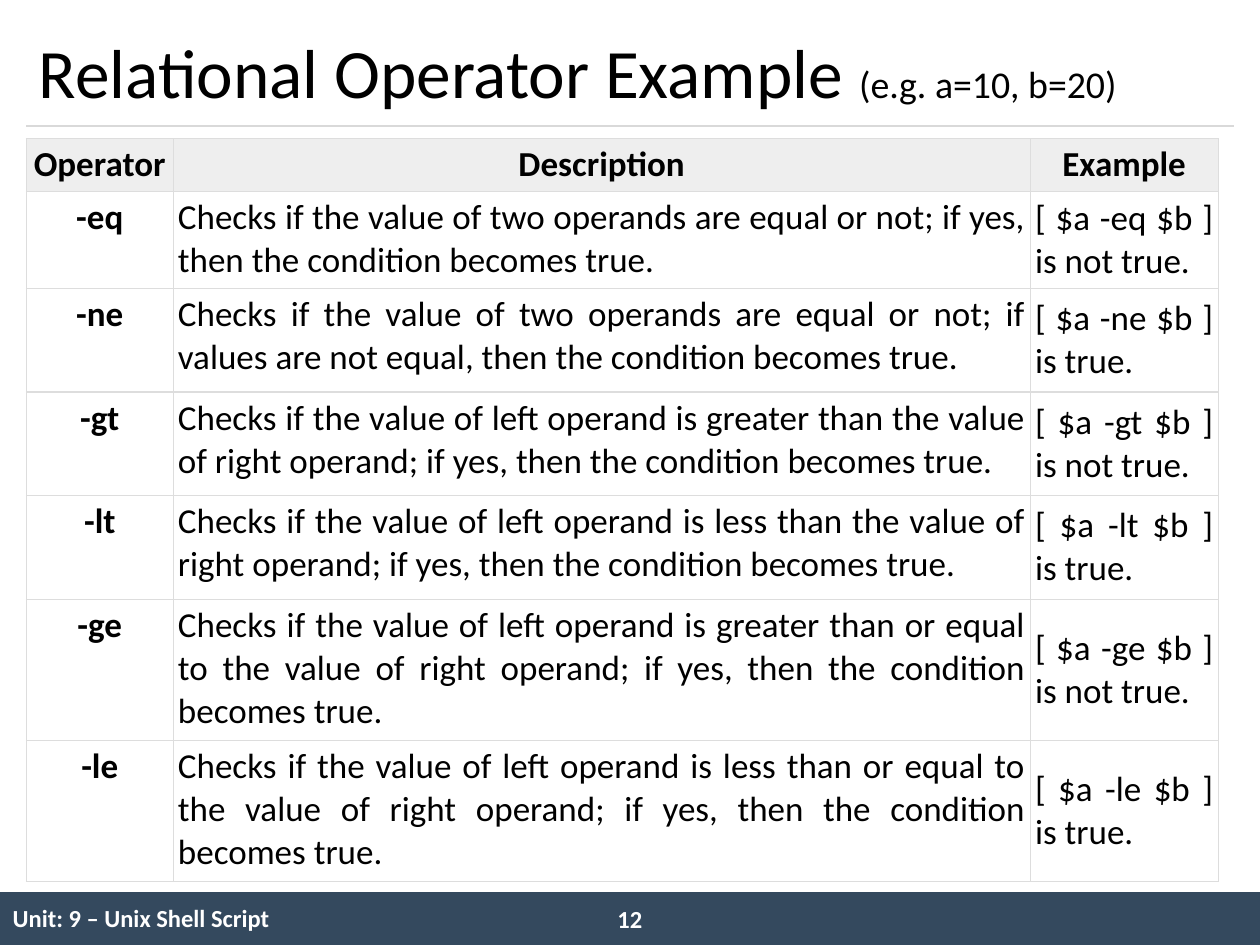
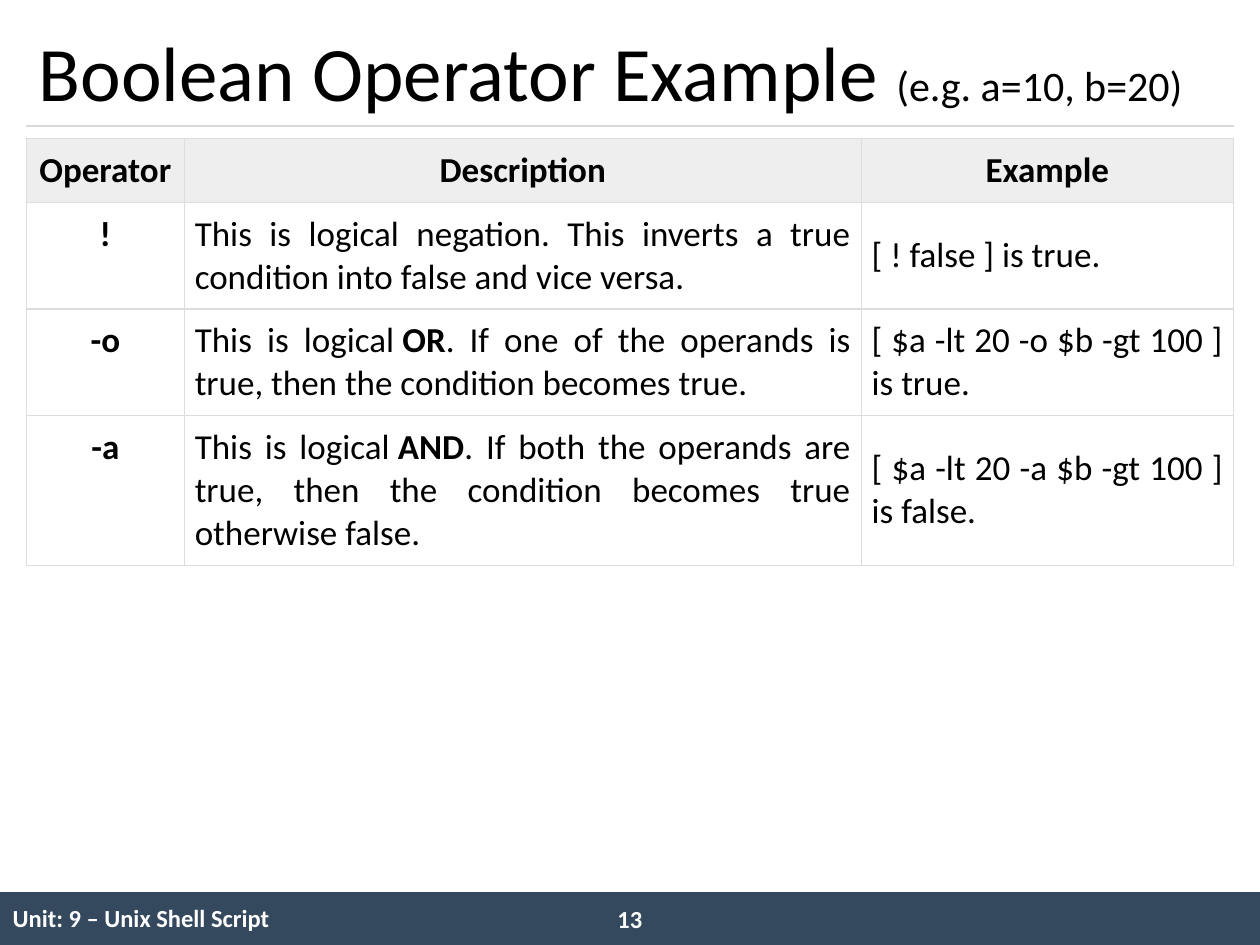
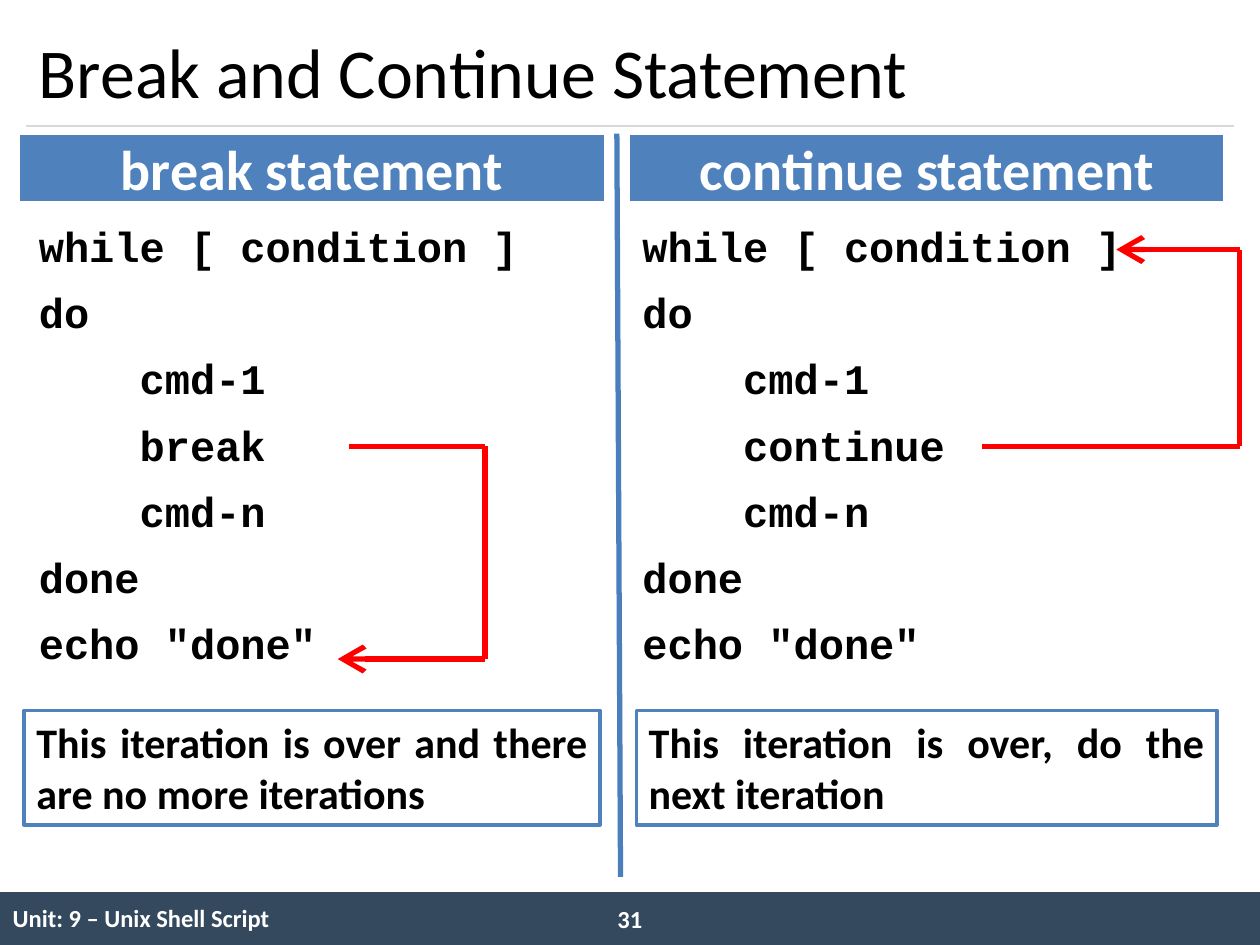
from lxml import etree
from pptx import Presentation
from pptx.dml.color import RGBColor
from pptx.enum.shapes import MSO_CONNECTOR, MSO_SHAPE
from pptx.enum.text import MSO_ANCHOR, PP_ALIGN
from pptx.oxml.ns import qn
from pptx.util import Pt

BLACK = RGBColor(0x00, 0x00, 0x00)
WHITE = RGBColor(0xFF, 0xFF, 0xFF)
NAVY = RGBColor(0x34, 0x49, 0x5E)
BLUE = RGBColor(0x4F, 0x81, 0xBD)
DIVIDER_BLUE = RGBColor(0x4B, 0x7E, 0xBC)
RED = RGBColor(0xFF, 0x00, 0x00)
RULE_GRAY = RGBColor(0xD9, 0xD9, 0xD9)
BORDER_GRAY = RGBColor(0xDD, 0xDD, 0xDD)
HEADER_GRAY = RGBColor(0xEE, 0xEE, 0xEE)

LEFT, CENTER, JUSTIFY = PP_ALIGN.LEFT, PP_ALIGN.CENTER, PP_ALIGN.JUSTIFY
TOP, MIDDLE = MSO_ANCHOR.TOP, MSO_ANCHOR.MIDDLE
RECTANGLE = MSO_SHAPE.RECTANGLE
STRAIGHT = MSO_CONNECTOR.STRAIGHT

BODY_FONT = "Calibri"
CODE_FONT = "Courier New"
NO_GRID_STYLE = "{2D5ABB26-0587-4C30-8999-92F81FD0307C}"
NO_BREAK_SPACE = chr(160)
MARGIN = 15.12
CONTENT_WIDTH = 689.76
TABLE_TOP = 79.2
FOOTER_TOP = 509.76


def add_box(slide, frame, text, size, color=BLACK, fill=None, line=None,
            align=LEFT, anchor=MIDDLE, font=BODY_FONT, bold=True):
    """Add a rectangle, or a plain text box when it has neither fill nor line."""
    lengths = [Pt(value) for value in frame]
    if fill or line:
        shape = slide.shapes.add_shape(RECTANGLE, *lengths)
        shape.shadow.inherit = False
        if fill:
            shape.fill.solid()
            shape.fill.fore_color.rgb = fill
        else:
            shape.fill.background()
        if line:
            shape.line.color.rgb = line
            shape.line.width = Pt(2)
        else:
            shape.line.fill.background()
    else:
        shape = slide.shapes.add_textbox(*lengths)
    text_frame = shape.text_frame
    text_frame.word_wrap = True
    text_frame.vertical_anchor = anchor
    text_frame.text = text
    for paragraph in text_frame.paragraphs:
        paragraph.alignment = align
        for run in paragraph.runs:
            run.font.name = font
            run.font.size = Pt(size)
            run.font.bold = bold
            run.font.color.rgb = color
    return shape


def add_line(slide, start, end, color, width, arrow=False):
    connector = slide.shapes.add_connector(
        STRAIGHT, *[Pt(value) for value in (*start, *end)])
    connector.line.color.rgb = color
    connector.line.width = Pt(width)
    if arrow:
        etree.SubElement(connector.line._get_or_add_ln(), qn("a:tailEnd"),
                         type="arrow", w="lg", len="lg")
    etree.SubElement(connector._element.spPr, qn("a:effectLst"))


presentation = Presentation()
presentation.slide_width = Pt(720)
presentation.slide_height = Pt(540)

# Title, rule and footer of every slide
headings = [
    ("Relational Operator Example ", 39.6, "(e.g. a=10, b=20)", 21.6, 12),
    ("Boolean Operator Example ", 44, "(e.g. a=10, b=20)", 24, 13),
    ("Break and Continue Statement", 40, "", 24, 31),
]
slides = []
for title, title_size, values, values_size, number in headings:
    slide = presentation.slides.add_slide(presentation.slide_layouts[6])
    add_box(slide, (0, FOOTER_TOP, 720, 30.24), "", 14, fill=NAVY)
    footer = slide.shapes.add_table(1, 3, Pt(0), Pt(FOOTER_TOP), Pt(720), Pt(30.6)).table
    footer.first_row = False
    footer.horz_banding = False
    footer._tbl.tblPr.find(qn("a:tableStyleId")).text = NO_GRID_STYLE
    for column, width in zip(footer.columns, (365.76, 48.24, 306)):
        column.width = Pt(width)
    for cell in footer.rows[0].cells:
        cell.fill.background()
    unit_cell = footer.cell(0, 0)
    unit_cell.vertical_anchor = MIDDLE
    unit_cell.text_frame.text = "Unit: 9 – Unix Shell Script"
    unit_font = unit_cell.text_frame.paragraphs[0].runs[0].font
    unit_font.name = BODY_FONT
    unit_font.size = Pt(14)
    unit_font.bold = True
    unit_font.color.rgb = WHITE
    add_box(slide, (339, 512.64, 42, 24.48), str(number), 14, WHITE, align=CENTER)
    add_line(slide, (MARGIN, 72), (MARGIN + CONTENT_WIDTH, 72), RULE_GRAY, 0.75)
    title_box = add_box(slide, (MARGIN, 8.64, CONTENT_WIDTH, 63.36), title, title_size, bold=False)
    if values:
        run = title_box.text_frame.paragraphs[0].add_run()
        run.text = values
        run.font.name = BODY_FONT
        run.font.size = Pt(values_size)
        run.font.color.rgb = BLACK
    slides.append(slide)
relational_slide, boolean_slide, loop_slide = slides

# Operator tables; text between bars is bold
header = ("Operator", "Description", "Example")
relational_rows = [
    header,
    ("-eq", "Checks if the value of two operands are equal or not; if yes, "
            "then the condition becomes true.", "[ $a -eq $b ] is not true."),
    ("-ne", "Checks if the value of two operands are equal or not; if values are not equal, "
            "then the condition becomes true.", "[ $a -ne $b ] is true."),
    ("-gt", "Checks if the value of left operand is greater than the value of right operand; "
            "if yes, then the condition becomes true.", "[ $a -gt $b ] is not true."),
    ("-lt", "Checks if the value of left operand is less than the value of right operand; "
            "if yes, then the condition becomes true.", "[ $a -lt $b ] is true."),
    ("-ge", "Checks if the value of left operand is greater than or equal to the value of "
            "right operand; if yes, then the condition becomes true.",
     "[ $a -ge $b ] is not true."),
    ("-le", "Checks if the value of left operand is less than or equal to the value of "
            "right operand; if yes, then the condition becomes true.",
     "[ $a -le $b ] is true."),
]
boolean_rows = [
    header,
    ("!", "This is logical negation. This inverts a true condition into false and vice versa.",
     "[ ! false ] is true."),
    ("-o", f"This is logical{NO_BREAK_SPACE}|OR|. If one of the operands is true, "
           "then the condition becomes true.", "[ $a -lt 20 -o $b -gt 100 ] is true."),
    ("-a", f"This is logical{NO_BREAK_SPACE}|AND|. If both the operands are true, "
           "then the condition becomes true otherwise false.",
     "[ $a -lt 20 -a $b -gt 100 ] is false."),
]
tables = [
    (relational_slide, relational_rows, (83.8, 489.8, 107.4),
     (30.2, 55.4, 59.2, 59.2, 59.2, 80.6, 80.6), 2.8),
    (boolean_slide, boolean_rows, (90.2, 386.8, 212.76), (36.5, 60.9, 60.9, 85.6), 6),
]
for slide, rows, widths, heights, inset in tables:
    table = slide.shapes.add_table(
        len(rows), len(widths), Pt(MARGIN), Pt(TABLE_TOP), Pt(sum(widths)), Pt(sum(heights))).table
    table.first_row = False
    table.horz_banding = False
    for column, width in zip(table.columns, widths):
        column.width = Pt(width)
    for row, height in zip(table.rows, heights):
        row.height = Pt(height)
    for row_index, texts in enumerate(rows):
        for column_index, text in enumerate(texts):
            cell = table.cell(row_index, column_index)
            is_label = row_index == 0 or column_index == 0
            cell.margin_left = cell.margin_right = Pt(inset)
            cell.margin_top = cell.margin_bottom = Pt(inset)
            cell.vertical_anchor = MIDDLE if column_index == 2 and row_index > 0 else TOP
            for side in ("a:lnL", "a:lnR", "a:lnT", "a:lnB"):
                border = etree.SubElement(
                    cell._tc.get_or_add_tcPr(), qn(side), w=str(Pt(0.75)))
                border_fill = etree.SubElement(border, qn("a:solidFill"))
                etree.SubElement(border_fill, qn("a:srgbClr"), val=str(BORDER_GRAY))
            cell.fill.solid()
            cell.fill.fore_color.rgb = HEADER_GRAY if row_index == 0 else WHITE
            paragraph = cell.text_frame.paragraphs[0]
            paragraph.alignment = CENTER if is_label else JUSTIFY
            for part_index, part in enumerate(text.split("|")):
                run = paragraph.add_run()
                run.text = part
                run.font.name = BODY_FONT
                run.font.size = Pt(20)
                run.font.bold = is_label or part_index % 2 == 1
                run.font.color.rgb = BLACK

# Break and continue, side by side
add_line(loop_slide, (352.5, 76.32), (354.6, 501.12), DIVIDER_BLUE, 3)
statements = [
    ("break", (10.5, 335.8), 15.12, (13.68, 329.2),
     "This iteration is over and there are no more iterations",
     [(199.4, 255.1), (277.2, 255.1), (277.2, 376.6), (193, 376.6)]),
    ("continue", (359.3, 340.6), 360, (363.6, 331.8),
     "This iteration is over, do the next iteration",
     [(560.9, 255.1), (708.5, 255.1), (708.5, 142.6), (637.9, 142.6)]),
]
for keyword, (band_left, band_width), code_left, (note_left, note_width), note, path in statements:
    add_box(loop_slide, (band_left, 76.32, band_width, 39.6), f"{keyword} statement", 32,
            WHITE, fill=BLUE, line=WHITE, align=CENTER)
    code = "\n".join(["while [ condition ]", "do", "    cmd-1", f"    {keyword}",
                      "    cmd-n", "done", 'echo "done"'])
    code_box = add_box(loop_slide, (code_left, 120.24, 312.5, 273.6), code, 24,
                       anchor=TOP, font=CODE_FONT)
    code_box.text_frame.margin_top = Pt(1.8)
    for index, paragraph in enumerate(code_box.text_frame.paragraphs):
        paragraph.line_spacing = 1.14
        paragraph.space_before = Pt(5 if index else 0)
    add_box(loop_slide, (note_left, 406.08, note_width, 65.3), note, 24,
            line=BLUE, align=JUSTIFY, anchor=TOP)
    for index, (start, end) in enumerate(zip(path, path[1:])):
        add_line(loop_slide, start, end, RED, 3, arrow=index == 2)

presentation.save("out.pptx")
